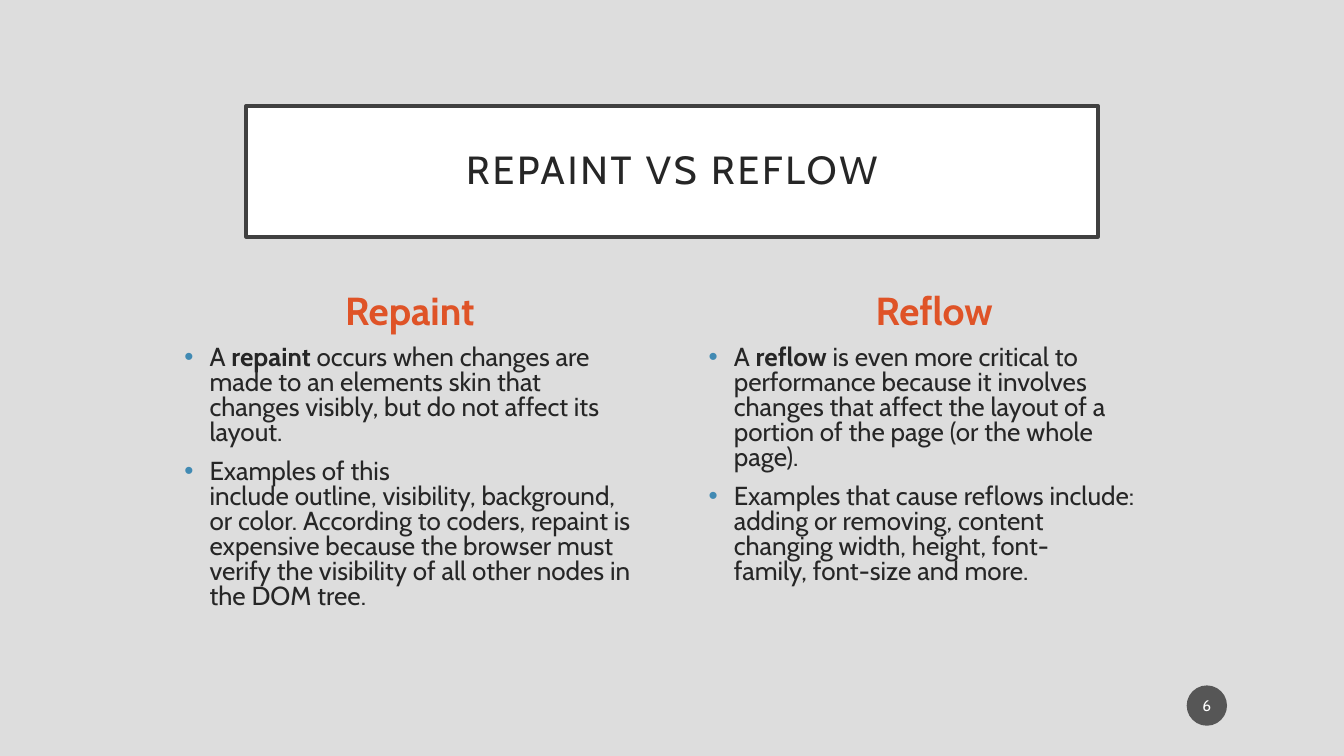
import dataclasses

import lxml.etree
import pptx
import pptx.dml.color
import pptx.enum.shapes
import pptx.enum.text
import pptx.oxml.ns
import pptx.util

Inches = pptx.util.Inches
Shape = pptx.enum.shapes.MSO_SHAPE
Align = pptx.enum.text.PP_ALIGN
Anchor = pptx.enum.text.MSO_ANCHOR
qn = pptx.oxml.ns.qn


@dataclasses.dataclass(frozen=True)
class Theme:
    """Hold the colours, font and type sizes of the slide."""
    font: str = "Cabin"
    back: str = "DDDDDD"
    panel: str = "FFFFFF"
    frame: str = "404040"
    ink: str = "262626"
    accent: str = "DF5327"
    bullet: str = "418AB3"
    badge: str = "1D1D1D"
    title_size: float = 28
    head_size: float = 27.9
    body_size: float = 18.6
    badge_size: float = 11


THEME = Theme()

COLUMNS = [
    ("Repaint", [
        [("A\u00a0", False), ("repaint", True),
         ("\u00a0occurs when changes are made to an elements skin that "
          "changes visibly, but do not affect its layout.\u00a0", False)],
        [("Examples of this include\u00a0outline,\u00a0visibility,"
          "\u00a0background, or\u00a0color. According to coders, repaint is "
          "expensive because the browser must verify the visibility of all "
          "other nodes in the DOM tree.", False)],
    ]),
    ("Reflow", [
        [("A\u00a0", False), ("reflow", True),
         ("\u00a0is even more critical to performance because it involves "
          "changes that affect the layout of a portion of the page "
          "(or the whole page).", False)],
        [("Examples that cause reflows include: adding or removing, content "
          "changing\u00a0width,\u00a0height,\u00a0font-family,"
          "\u00a0font-size\u00a0and more.", False)],
    ]),
]


def rgb(code):
    """Turn a hex code into a colour."""
    return pptx.dml.color.RGBColor.from_string(code)


def paint(fill, code):
    """Give a fill one solid colour."""
    fill.solid()
    fill.fore_color.rgb = rgb(code)


def style(run, size, color, bold=False):
    """Set the font of a run."""
    run.font.name = THEME.font
    run.font.size = pptx.util.Pt(size)
    run.font.color.rgb = rgb(color)
    run.font.bold = bold


def add_panel(slide, kind, box, fill, inset, text, size, color):
    """Add a filled shape with one centred line of text and return it."""
    shape = slide.shapes.add_shape(kind, *map(Inches, box))
    shape.shadow.inherit = False
    paint(shape.fill, fill)
    shape.line.fill.background()
    frame = shape.text_frame
    frame.word_wrap = True
    frame.vertical_anchor = Anchor.MIDDLE
    frame.margin_left = frame.margin_right = Inches(inset[0])
    frame.margin_top = frame.margin_bottom = Inches(inset[1])
    frame.text = text
    para = frame.paragraphs[0]
    para.alignment = Align.CENTER
    style(para.runs[0], size, color)
    return shape


def add_title(slide, text):
    """Add the framed title."""
    shape = add_panel(slide, Shape.RECTANGLE, (2.44, 1.05, 8.45, 1.3),
                      THEME.panel, (0.2, 0.2), text,
                      THEME.title_size, THEME.ink)
    paint(shape.line.fill, THEME.frame)
    shape.line.width = pptx.util.Pt(2.5)
    para = shape.text_frame.paragraphs[0]
    para.line_spacing = 0.9
    para.runs[0]._r.get_or_add_rPr().set("spc", "200")


def add_badge(slide, text):
    """Add the round page number."""
    shape = add_panel(slide, Shape.OVAL, (11.77, 6.8, 0.4, 0.4),
                      THEME.badge, (0.02, 0.05), text,
                      THEME.badge_size, THEME.panel)
    color = shape._element.spPr.find(qn("a:solidFill"))[0]
    lxml.etree.SubElement(color, qn("a:alpha")).set("val", "70000")


def space(para):
    """Set the line and paragraph spacing of column text."""
    para.line_spacing = 0.8
    para.space_before = pptx.util.Pt(10)


def add_bullet(para):
    """Give a paragraph a coloured bullet and a hanging indent."""
    props = para._p.get_or_add_pPr()
    props.set("marL", str(Inches(0.25)))
    props.set("indent", str(Inches(-0.25)))
    color = lxml.etree.SubElement(props, qn("a:buClr"))
    lxml.etree.SubElement(color, qn("a:srgbClr")).set("val", THEME.bullet)
    lxml.etree.SubElement(props, qn("a:buFont")).set("typeface", "Arial")
    lxml.etree.SubElement(props, qn("a:buChar")).set("char", "\u2022")


def add_column(slide, left, head, points):
    """Add a heading with its bullet points."""
    box = slide.shapes.add_textbox(*map(Inches, (left, 2.88, 4.67, 3.39)))
    frame = box.text_frame
    frame.word_wrap = True
    frame.text = head
    para = frame.paragraphs[0]
    para.alignment = Align.CENTER
    space(para)
    style(para.runs[0], THEME.head_size, THEME.accent, True)
    for point in points:
        para = frame.add_paragraph()
        space(para)
        add_bullet(para)
        for text, bold in point:
            run = para.add_run()
            run.text = text
            style(run, THEME.body_size, THEME.ink, bold)


def main():
    """Build the slide and save it."""
    deck = pptx.Presentation()
    deck.slide_width = Inches(13.33)
    deck.slide_height = Inches(7.5)
    slide = deck.slides.add_slide(deck.slide_layouts[6])
    paint(slide.background.fill, THEME.back)
    add_title(slide, "REPAINT VS REFLOW")
    for index, (head, points) in enumerate(COLUMNS):
        add_column(slide, 1.73 + 5.2 * index, head, points)
    add_badge(slide, "6")
    deck.save("out.pptx")


main()
